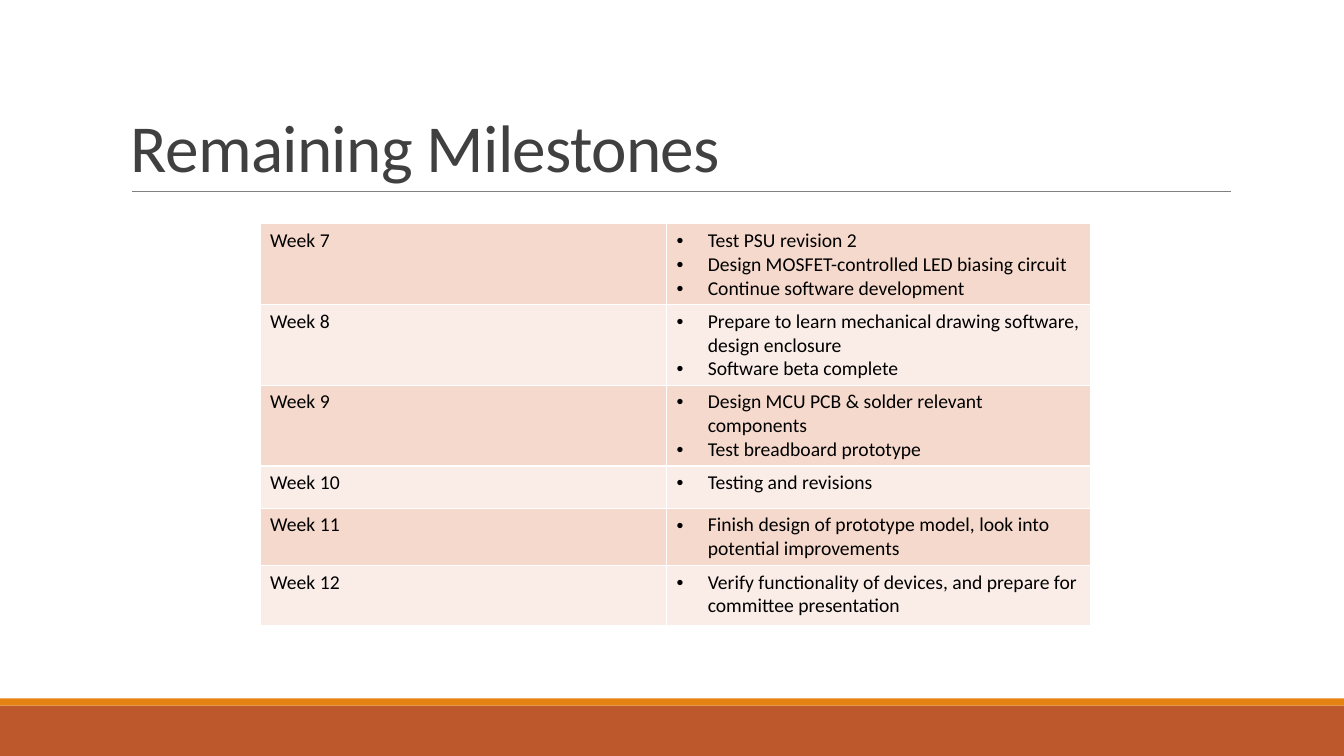
from dataclasses import dataclass

from lxml.etree import SubElement
from pptx import Presentation
from pptx.dml.color import RGBColor
from pptx.enum.shapes import MSO_CONNECTOR, MSO_SHAPE
from pptx.enum.text import MSO_ANCHOR
from pptx.oxml.ns import qn
from pptx.util import Inches, Pt


@dataclass(frozen=True)
class Theme:
    font: str = "Calibri"
    title_size: int = 48
    body_size: int = 14
    title: str = "404040"
    body: str = "000000"
    rule: str = "808080"
    band: str = "BD582C"
    stripe: str = "E48312"
    border: str = "FFFFFF"
    rows: tuple = ("F5D9CC", "FAEDE7")


THEME = Theme()

MILESTONES = [
    ("Week 7", 0.78, ["Test PSU revision 2",
                      "Design MOSFET-controlled LED biasing circuit",
                      "Continue software development"]),
    ("Week 8", 0.8, ["Prepare to learn mechanical drawing software, design enclosure",
                     "Software beta complete"]),
    ("Week 9", 0.77, ["Design MCU PCB & solder relevant components",
                      "Test breadboard prototype"]),
    ("Week 10", 0.42, ["Testing and revisions"]),
    ("Week 11", 0.54, ["Finish design of prototype model, look into potential improvements"]),
    ("Week 12", 0.6, ["Verify functionality of devices, and prepare for committee presentation"]),
]


def rgb(color):
    return RGBColor.from_string(color)


def add_run(p, text, size, color):
    r = p.add_run()
    r.text = text
    r.font.name = THEME.font
    r.font.size = Pt(size)
    r.font.color.rgb = rgb(color)
    return r


def add_bar(s, x, y, w, h, color):
    sp = s.shapes.add_shape(MSO_SHAPE.RECTANGLE, Inches(x), Inches(y), Inches(w), Inches(h))
    sp.shadow.inherit = False
    sp.fill.solid()
    sp.fill.fore_color.rgb = rgb(color)
    sp.line.fill.background()


def add_footer(s, x, y, w, h):
    stripe_h = 0.07
    add_bar(s, x, y + stripe_h, w, h - stripe_h, THEME.band)
    add_bar(s, x, y, w, stripe_h, THEME.stripe)


def add_title(s, x, y, w, h, text):
    rule_x, rule_y = Inches(x + 0.11), Inches(y + h)
    rule = s.shapes.add_connector(MSO_CONNECTOR.STRAIGHT, rule_x, rule_y,
                                  rule_x + Inches(10.9), rule_y)
    rule.line.color.rgb = rgb(THEME.rule)
    rule.line.width = Pt(0.5)
    SubElement(rule._element.spPr, qn("a:effectLst"))

    tf = s.shapes.add_textbox(Inches(x), Inches(y), Inches(w), Inches(h)).text_frame
    tf.word_wrap = True
    tf.vertical_anchor = MSO_ANCHOR.BOTTOM
    p = tf.paragraphs[0]
    p.line_spacing = 0.85
    r = add_run(p, text, THEME.title_size, THEME.title)
    r.font._element.set("spc", "-50")


def add_bullet(p):
    pPr = p._p.get_or_add_pPr()
    indent = Inches(0.31)
    pPr.set("marL", str(indent))
    pPr.set("indent", str(-indent))
    SubElement(pPr, qn("a:buFont"), typeface="Arial")
    SubElement(pPr, qn("a:buChar"), char="•")


def fill_cell(cell, lines, color, bulleted):
    tcPr = cell._tc.get_or_add_tcPr()
    for side in ("lnL", "lnR", "lnT", "lnB"):
        ln = SubElement(tcPr, qn(f"a:{side}"), w=str(Pt(1)))
        SubElement(SubElement(ln, qn("a:solidFill")), qn("a:srgbClr"), val=THEME.border)
    cell.fill.solid()
    cell.fill.fore_color.rgb = rgb(color)
    tf = cell.text_frame
    for i, line in enumerate(lines):
        p = tf.add_paragraph() if i else tf.paragraphs[0]
        if bulleted:
            add_bullet(p)
        add_run(p, line, THEME.body_size, THEME.body)


def add_milestones(s, x, y, col_widths, milestones):
    height = sum(row_h for _, row_h, _ in milestones)
    table = s.shapes.add_table(len(milestones), len(col_widths), Inches(x), Inches(y),
                               Inches(sum(col_widths)), Inches(height)).table
    table.first_row = False
    for col, width in zip(table.columns, col_widths):
        col.width = Inches(width)
    for i, (week, row_h, tasks) in enumerate(milestones):
        table.rows[i].height = Inches(row_h)
        color = THEME.rows[i % len(THEME.rows)]
        fill_cell(table.cell(i, 0), [week], color, False)
        fill_cell(table.cell(i, 1), tasks, color, True)


def main():
    prs = Presentation()
    prs.slide_width, prs.slide_height = Inches(13.33), Inches(7.5)
    s = prs.slides.add_slide(prs.slide_layouts[6])
    add_footer(s, 0, 6.93, 13.33, 0.57)
    add_title(s, 1.2, 0.31, 11, 1.59, "Remaining Milestones")
    add_milestones(s, 2.58, 2.22, (4.03, 4.21), MILESTONES)
    prs.save("out.pptx")


if __name__ == "__main__":
    main()
